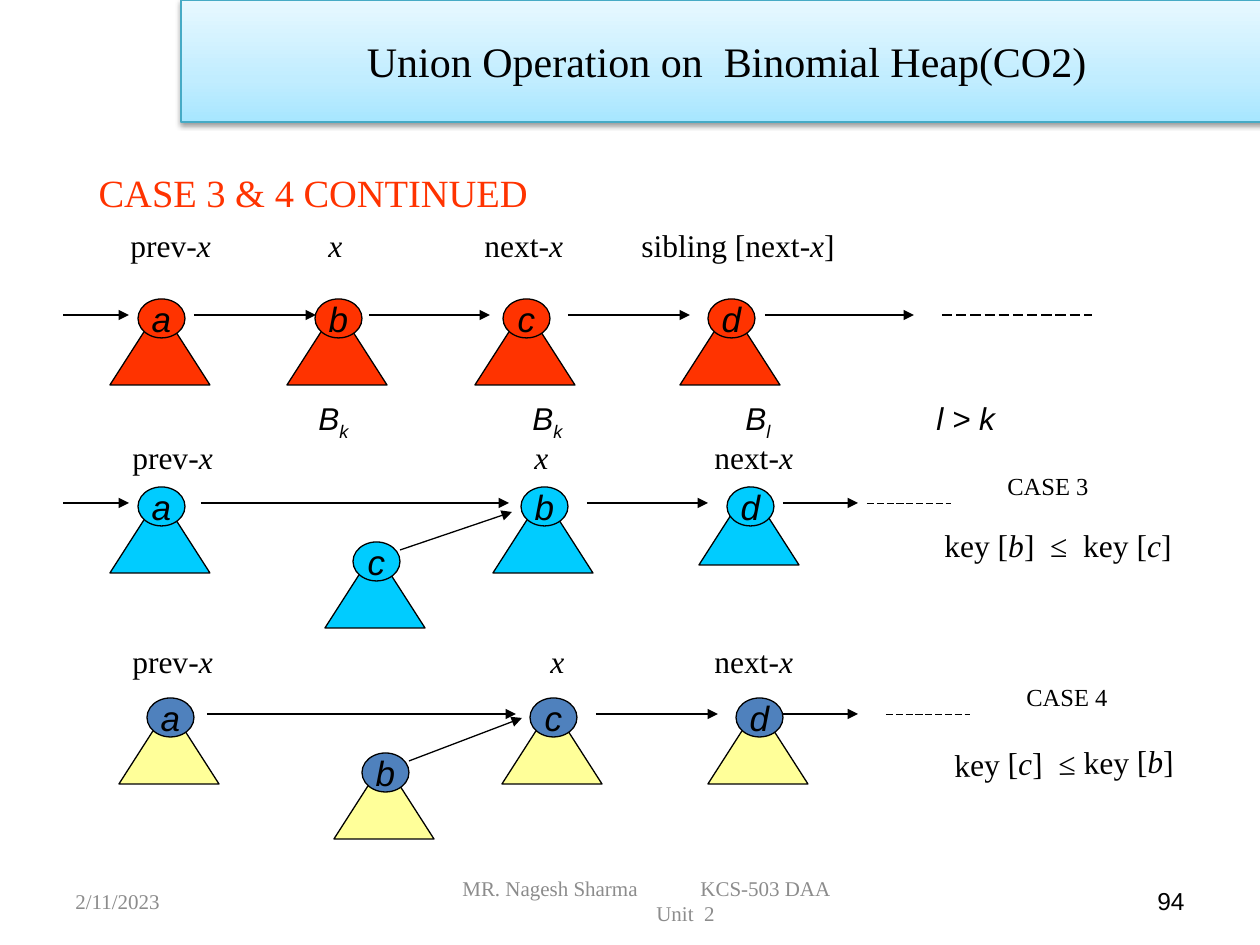
"""Build the slide on the union of binomial heaps, cases 3 and 4."""
from copy import deepcopy

from lxml import etree
from pptx import Presentation, util as u
from pptx.dml.color import RGBColor
from pptx.enum import dml, shapes, text
from pptx.oxml.ns import qn

BLACK = RGBColor(0, 0, 0)
RED = RGBColor(0xFF, 0x33, 0x00)
CYAN = RGBColor(0x00, 0xCC, 0xFF)
BLUE = RGBColor(0x4F, 0x81, 0xBD)
CREAM = RGBColor(0xFF, 0xFF, 0x99)
GREY = RGBColor(0x8C, 0x8C, 0x8C)
TEAL = RGBColor(0x46, 0xAA, 0xC5)
SKY = [(0, RGBColor(0xA7, 0xE6, 0xFF)), (0.35, RGBColor(0xC1, 0xED, 0xFF)),
       (1, RGBColor(0xE7, 0xF8, 0xFF))]
SERIF, SANS = "Times New Roman", "Arial"
LEFT, MID, RIGHT, JUST = (text.PP_ALIGN.LEFT, text.PP_ALIGN.CENTER,
                          text.PP_ALIGN.RIGHT, text.PP_ALIGN.JUSTIFY)

TITLE = "Union Operation on  Binomial Heap(CO2)"
HEAD = "CASE 3 & 4 CONTINUED"

HEAPS = [
    {"y": 315, "ball": RED, "cone": RED,
     "nodes": [("a", 110, 299, 8), ("b", 287, 299, 8), ("c", 475, 299, 8),
               ("d", 680, 299, 8)],
     "arrows": [(63, 129), (194, 316), (369, 490), (568, 690), (765, 914)],
     "links": [], "dash": (942, 1092, 0.75)},
    {"y": 503, "ball": CYAN, "cone": CYAN,
     "nodes": [("a", 110, 487, 8), ("c", 325, 542, 8), ("b", 493, 487, 8),
               ("d", 699, 487, 0)],
     "arrows": [(63, 129), (201, 509), (587, 708), (783, 858)],
     "links": [(400, 550, 512, 512)], "dash": (867, 951, 0.5)},
    {"y": 714, "ball": BLUE, "cone": CREAM,
     "nodes": [("a", 119, 698, 8), ("b", 334, 753, 8), ("c", 502, 698, 8),
               ("d", 708, 698, 8)],
     "arrows": [(207, 516), (596, 718), (783, 858)],
     "links": [(409, 761, 522, 718)], "dash": (886, 970, 0.5)},
]

# * switches italics, _ switches subscript
LABELS = [
    ((118, 220, 873, 50), "prev*-x\tx\t*next*-x*\tsibling [next*-x*]",
     (198, 354, 511), SERIF, 18, 0),
    ((120, 432, 767, 50), "prev*-x\tx\t*next*-x", (402, 582), SERIF, 18, 0),
    ((120, 636, 767, 50), "prev*-x\tx\t*next*-x", (418, 582), SERIF, 18, 0),
    ((306, 393, 746, 50), "*B_k_\tB_k_\tB_l_\tl > k", (214, 427, 618),
     SANS, 18, 0),
    ((995, 465, 152, 42), "CASE 3", (), SERIF, 14, 0),
    ((932, 520, 285, 50), "key [*b*]  ≤  key [*c*]", (), SERIF, 18, 0),
    ((1014, 676, 152, 42), "CASE 4", (), SERIF, 14, 0),
    ((942, 737, 266, 50), "key [*c*]  ≤ key [*b*]", (), SERIF, 18, -1.1),
]

FOOT = [
    ((63, 876, 294, 50), [("2/11/2023", ())], LEFT, SERIF, 12, GREY),
    ((450, 876, 460, 50), [("MR. Nagesh Sharma\tKCS-503 DAA", (238,)),
                           ("\tUnit  2", (194,))], LEFT, SERIF, 12, GREY),
    ((903, 876, 294, 50), [("94", ())], RIGHT, SANS, 14, BLACK),
]


def px(n):
    return round(n * 914400 / 126)


def put(obj, **vals):
    for key, val in vals.items():
        setattr(obj, key, val)


def place(obj, box):
    put(obj, **dict(zip(("left", "top", "width", "height"), map(px, box))))


def sub(top, tag, **vals):
    return etree.SubElement(top, qn(tag), {k: str(v) for k, v in vals.items()})


def write(par, words, face, size, hue=BLACK, align=LEFT, tabs=()):
    par.alignment = align
    if tabs:
        stops = sub(par._p.get_or_add_pPr(), "a:tabLst")
        for stop in tabs:
            sub(stops, "a:tab", pos=px(stop), algn="l")
    for i, part in enumerate(words.split("*")):
        for j, bit in enumerate(part.split("_")):
            if bit:
                run = par.add_run()
                run.text = bit
                put(run.font, name=face, size=u.Pt(size), italic=i % 2 == 1)
                run.font.color.rgb = hue
                if j % 2:
                    run._r.get_or_add_rPr().set("baseline", "-25000")


def label(page, box, lines, face, size, hue=BLACK, align=LEFT, turn=0,
          anchor=text.MSO_ANCHOR.TOP):
    item = page.shapes.add_textbox(*map(px, box))
    item.rotation = turn
    frame = item.text_frame
    put(frame, word_wrap=True, vertical_anchor=anchor)
    for i, (words, tabs) in enumerate(lines):
        par = frame.add_paragraph() if i else frame.paragraphs[0]
        write(par, words, face, size, hue, align, tabs)


def link(page, ends, width=0.75, dash=False):
    wire = page.shapes.add_connector(shapes.MSO_CONNECTOR.STRAIGHT,
                                     *map(px, ends))
    wire.line.color.rgb = BLACK
    wire.line.width = u.Pt(width)
    if dash:
        wire.line.dash_style = dml.MSO_LINE.LONG_DASH
    else:
        sub(wire.line._get_or_add_ln(), "a:tailEnd", type="triangle")
    sub(wire._element.spPr, "a:effectLst")


def solid(page, kind, box, hue):
    item = page.shapes.add_shape(kind, *map(px, box))
    item.shadow.inherit = False
    item.fill.solid()
    item.fill.fore_color.rgb = hue
    item.line.color.rgb = BLACK
    item.line.width = u.Pt(0.75)
    return item


def node(page, name, x, y, drop, ball, cone):
    kind = shapes.MSO_SHAPE
    solid(page, kind.ISOSCELES_TRIANGLE, (x, y + drop, 100, 78), cone)
    disc = solid(page, kind.OVAL, (x + 28, y, 47, 39), ball)
    frame = disc.text_frame
    put(frame, word_wrap=False, vertical_anchor=text.MSO_ANCHOR.MIDDLE)
    write(frame.paragraphs[0], f"*{name}", SANS, 20, align=MID)


def heap(page, row):
    y = row["y"]
    for x1, x2 in row["arrows"]:
        link(page, (x1, y, x2, y))
    for ends in row["links"]:
        link(page, ends)
    x1, x2, width = row["dash"]
    link(page, (x1, y, x2, y), width, True)
    for item in row["nodes"]:
        node(page, *item, row["ball"], row["cone"])


def banner(item):
    place(item, (181, 0, 1084, 122))
    item.fill.gradient()
    item.fill.gradient_angle = 90
    stops = item.fill._xPr.find(qn("a:gradFill")).find(qn("a:gsLst"))
    stops.append(deepcopy(stops[0]))
    for stop, (pos, hue) in zip(item.fill.gradient_stops, SKY):
        stop.color.rgb = hue
        stop.position = pos
    item.line.color.rgb = TEAL
    item.line.width = u.Pt(0.75)
    glow = sub(sub(item._element.spPr, "a:effectLst"), "a:outerShdw",
               blurRad=40000, dist=20000, dir=5400000, rotWithShape=0)
    sub(sub(glow, "a:srgbClr", val="000000"), "a:alpha", val=38000)
    put(item.text_frame, margin_left=px(20), word_wrap=True,
        vertical_anchor=text.MSO_ANCHOR.MIDDLE)
    write(item.text_frame.paragraphs[0], TITLE, SERIF, 24, align=MID)


def main():
    deck = Presentation()
    put(deck, slide_width=px(1260), slide_height=px(945))
    page = deck.slides.add_slide(deck.slide_layouts[1])
    banner(page.shapes.title)
    body = page.placeholders[1]
    place(body, (86, 163, 567, 73))
    par = body.text_frame.paragraphs[0]
    par.space_before = u.Pt(0)
    rule = par._p.get_or_add_pPr()
    rule.set("marL", str(px(48)))
    rule.set("indent", str(px(-48)))
    sub(rule, "a:buNone")
    write(par, HEAD, SERIF, 22, RED, JUST)
    for row in HEAPS:
        heap(page, row)
    for box, words, tabs, face, size, turn in LABELS:
        label(page, box, [(words, tabs)], face, size, turn=turn)
    for box, lines, align, face, size, hue in FOOT:
        label(page, box, lines, face, size, hue, align,
              anchor=text.MSO_ANCHOR.MIDDLE)
    deck.save("out.pptx")


if __name__ == "__main__":
    main()
